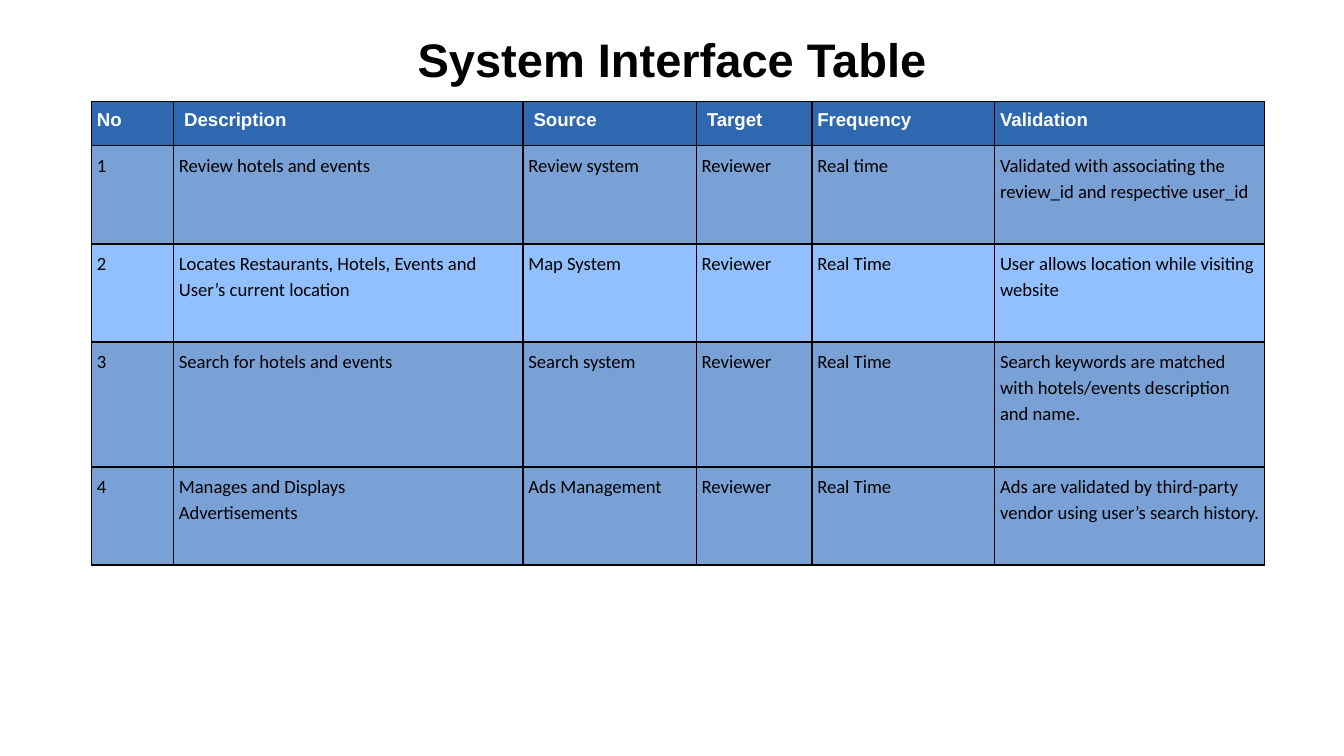
from lxml import etree
from pptx import Presentation, util as u
from pptx.dml.color import RGBColor
from pptx.enum import text
from pptx.oxml import ns

BLACK, WHITE = "000000", "FFFFFF"
HEADER_BLUE, MID_BLUE, LIGHT_BLUE = "2E68B1", "7AA1D5", "92C0FF"

COLUMN_WIDTHS = [6.1, 26, 12.9, 8.6, 13.6, 20.1]
ROW_HEIGHTS = [3.3, 7.3, 7.3, 9.3, 7.3]
ROW_FILLS = [HEADER_BLUE, MID_BLUE, LIGHT_BLUE, MID_BLUE, MID_BLUE]

INTERFACES = [
    ["No", " Description", " Source", " Target", "Frequency", "Validation"],
    ["1", "Review hotels and events", "Review system", "Reviewer", "Real time",
     "Validated with associating the review_id and respective user_id"],
    ["2", "Locates Restaurants, Hotels, Events and User’s current location",
     "Map System", "Reviewer", "Real Time",
     "User allows location while visiting website"],
    ["3", "Search for hotels and events", "Search system", "Reviewer", "Real Time",
     "Search keywords are matched with hotels/events description and name."],
    ["4", "Manages and Displays\nAdvertisements", "Ads Management", "Reviewer",
     "Real Time",
     "Ads are validated by third-party vendor using user’s search history."],
]


def color(hex_value):
    return RGBColor.from_string(hex_value)


def write(frame, content, font="Calibri", size=10, ink=BLACK, bold=False,
          align=text.PP_ALIGN.LEFT, spacing=None):
    """Fill a text frame, one paragraph per line of content."""
    frame.word_wrap = True
    for index, line in enumerate(content.split("\n")):
        paragraph = frame.paragraphs[0] if index == 0 else frame.add_paragraph()
        paragraph.alignment = align
        paragraph.line_spacing = spacing
        run = paragraph.add_run()
        run.text = line
        run.font.name = font
        run.font.size = u.Pt(size)
        run.font.bold = bold
        run.font.color.rgb = color(ink)


def outline(cell, ink=BLACK, width=0.75):
    properties = cell._tc.get_or_add_tcPr()
    for side in ("a:lnL", "a:lnR", "a:lnT", "a:lnB"):
        line = etree.SubElement(properties, ns.qn(side), w=str(u.Pt(width)))
        fill = etree.SubElement(line, ns.qn("a:solidFill"))
        etree.SubElement(fill, ns.qn("a:srgbClr"), val=ink)


class Deck:
    """Places elements on a grid of 100 columns by 56.25 rows (16:9)."""
    COLUMNS, ROWS = 100, 56.25
    HEADING = {"font": "Arial", "bold": True}
    CELL_MARGIN = u.Inches(0.04)

    def __init__(self):
        self.presentation = Presentation()
        self.presentation.slide_width = u.Inches(10)
        self.presentation.slide_height = self.presentation.slide_width * 9 // 16
        self.slide = self.presentation.slides.add_slide(
            self.presentation.slide_layouts[6])

    def x(self, columns):
        return round(self.presentation.slide_width * columns / self.COLUMNS)

    def y(self, rows):
        return round(self.presentation.slide_height * rows / self.ROWS)

    def box(self, left, top, width, height):
        return self.x(left), self.y(top), self.x(width), self.y(height)

    def title(self, content, *place):
        frame = self.slide.shapes.add_textbox(*self.box(*place)).text_frame
        frame.margin_left = frame.margin_right = u.Inches(0.1)
        frame.margin_top = frame.margin_bottom = u.Inches(0.1)
        frame.vertical_anchor = text.MSO_ANCHOR.TOP
        write(frame, content, size=25.2, align=text.PP_ALIGN.CENTER, **self.HEADING)

    def table(self, left, top, rows, widths, heights, fills):
        place = self.box(left, top, sum(widths), sum(heights))
        table = self.slide.shapes.add_table(len(rows), len(widths), *place).table
        for column, width in zip(table.columns, widths):
            column.width = self.x(width)
        for row, height in zip(table.rows, heights):
            row.height = self.y(height)
        for r, (entries, fill) in enumerate(zip(rows, fills)):
            style = {"ink": WHITE, **self.HEADING} if r == 0 else {}
            for c, entry in enumerate(entries):
                self.fill_cell(table.cell(r, c), entry, fill, style)

    def fill_cell(self, cell, entry, fill, style):
        cell.margin_left = cell.margin_right = self.CELL_MARGIN
        cell.margin_top = cell.margin_bottom = self.CELL_MARGIN
        outline(cell)
        cell.fill.solid()
        cell.fill.fore_color.rgb = color(fill)
        write(cell.text_frame, entry, spacing=1.15, **style)

    def save(self):
        self.presentation.save("out.pptx")


def main():
    deck = Deck()
    deck.title("System Interface Table", 3.4, 1.3, 93.2, 6.3)
    deck.table(6.82, 7.55, INTERFACES, COLUMN_WIDTHS, ROW_HEIGHTS, ROW_FILLS)
    deck.save()


if __name__ == "__main__":
    main()
